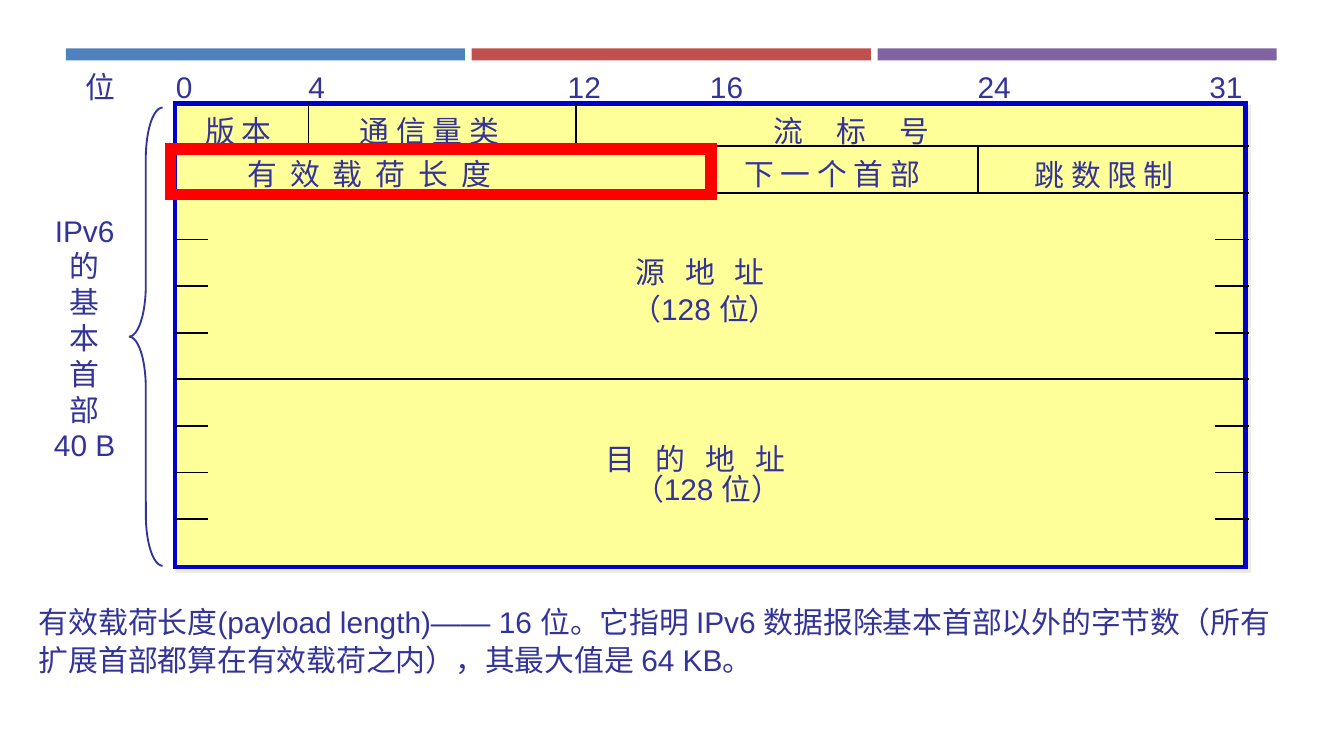
from lxml import etree
from pptx import Presentation
from pptx import util as u
from pptx.dml.color import RGBColor
from pptx.enum import shapes, text
from pptx.oxml.ns import qn

COLORS = {
    "text": "333399", "fill": "FFFF99", "border": "0000CC", "rule": "000000",
    "mark": "FF0000", "shadow": "EEECE1",
    "bars": ["4F81BD", "C0504D", "8064A2"],
}
LEFT, RIGHT = 1.3, 9.29
BIT, ROW = 0.249, 0.3467  # grid: 32 bit columns, 32-bit word rows


def col(bit):
    return LEFT + bit * BIT


def row(n):
    return 0.742 + n * ROW


def rgb(value):
    return RGBColor.from_string(value)


def add_box(s, x, y, w, h, fill=None, line=None, width=1,
            kind=shapes.MSO_SHAPE.RECTANGLE):
    sp = s.shapes.add_shape(kind, *map(u.Inches, (x, y, w, h)))
    sp.shadow.inherit = False
    if fill:
        sp.fill.solid()
        sp.fill.fore_color.rgb = rgb(fill)
    else:
        sp.fill.background()
    if line:
        sp.line.color.rgb = rgb(line)
        sp.line.width = u.Pt(width)
        # Square corners
        etree.SubElement(sp._element.spPr.find(qn("a:ln")), qn("a:miter"),
                         lim="800000")
    else:
        sp.line.fill.background()
    return sp


def add_drop_shadow(sp):
    effects = sp._element.spPr.find(qn("a:effectLst"))
    shadow = etree.SubElement(effects, qn("a:outerShdw"), dist="35560",
                              dir="2700000", algn="ctr", rotWithShape="0")
    etree.SubElement(shadow, qn("a:srgbClr"), val=COLORS["shadow"])


def add_rule(s, x1, y1, x2, y2):
    c = s.shapes.add_connector(shapes.MSO_CONNECTOR.STRAIGHT,
                               *map(u.Inches, (x1, y1, x2, y2)))
    c.line.color.rgb = rgb(COLORS["rule"])
    c.line.width = u.Pt(1)
    etree.SubElement(c._element.spPr, qn("a:effectLst"))


def add_text(s, x, y, w, lines, h=0.37, wrap=False, align=None, leading=None,
             tracking=0):
    tf = s.shapes.add_textbox(*map(u.Inches, (x, y, w, h))).text_frame
    tf.word_wrap = wrap
    tf.auto_size = text.MSO_AUTO_SIZE.SHAPE_TO_FIT_TEXT
    tf.text = lines
    for p in tf.paragraphs:
        p.alignment = align
        p.line_spacing = leading
        p.font.size = u.Pt(16)
        p.font.name = "Arial"
        p.font.color.rgb = rgb(COLORS["text"])
        if tracking:
            for r in p.runs:
                r._r.get_or_add_rPr().set("spc", str(round(tracking * 100)))


def add_header_grid(s):
    frame = add_box(s, LEFT, 0.77, 32 * BIT, 3.45, COLORS["fill"],
                    COLORS["border"], 2.25)
    add_drop_shadow(frame)
    for n in range(1, 10):
        add_rule(s, LEFT, row(n), RIGHT, row(n))
    # Field dividers in the first two words
    for bit, n in [(4, 0), (12, 0), (16, 1), (24, 1)]:
        add_rule(s, col(bit), max(row(n), 0.77), col(bit), row(n + 1))
    # Address areas leave only ticks of the word lines at both sides
    for n in (3, 7):
        add_box(s, col(1), row(n - 0.35), 7.49, 0.93, COLORS["fill"])


def add_labels(s):
    # Bit numbers
    add_text(s, 0.54, 0.46, 0.42, "位")
    for number, bit, w in [("0", 0.04, 0.32), ("4", 4, 0.32),
                           ("12", 11.75, 0.45), ("16", 16, 0.45),
                           ("24", 24, 0.45), ("31", 30.92, 0.45)]:
        add_text(s, col(bit) - 0.1, 0.46, w, number)
    # Field names: text, column, row, width, tracking
    for name, bit, n, w, tracking in [
        ("版 本", 0.52, 0.14, 0.71, 0),
        ("通 信 量 类", 5.14, 0.14, 1.29, 0),
        ("流 标 号", 17.5, 0.14, 1.5, 7.1),
        ("有 效 载 荷 长 度", 1.77, 1.06, 2.18, 1.75),
        ("下 一 个 首 部", 16.63, 1.06, 1.57, 0),
        ("跳 数 限 制", 25.3, 1.09, 1.29, 0),
        ("源 地 址", 13.37, 3.17, 1.25, 3.6),
        ("目 的 地 址", 12.49, 7.18, 1.67, 3.6),
    ]:
        add_text(s, col(bit), row(n), w, name, tracking=tracking)
    for bit, n in [(13.25, 3.95), (13.33, 7.81)]:
        add_text(s, col(bit), row(n), 1.31, "（128 位）", wrap=True)


def main():
    prs = Presentation()
    # Widescreen, 16:9
    prs.slide_width = u.Inches(10)
    prs.slide_height = u.Inches(10 * 9 / 16)
    s = prs.slides.add_slide(prs.slide_layouts[6])

    # Coloured bars at the top
    for i, color in enumerate(COLORS["bars"]):
        add_box(s, 0.49 + i * 3.02, 0.36, 2.97, 0.09, color)

    add_header_grid(s)
    add_labels(s)

    # Brace with the header's size
    brace = add_box(s, 0.96, 0.8, 0.25, 3.41, line=COLORS["text"],
                    kind=shapes.MSO_SHAPE.LEFT_BRACE)
    brace.adjustments[0] = 1.517
    add_text(s, 0.3, 1.53, 0.66, "IPv6\n的\n基\n本\n首\n部\n40 B", h=2.25,
             align=text.PP_ALIGN.CENTER)

    # Highlighted field and its explanation
    add_box(s, 1.27, 1.11, 4.02, 0.34, line=COLORS["mark"], width=6)
    add_text(s, 0.19, 4.43, 9.45,
             "有效载荷长度(payload length)—— 16 位。它指明 IPv6 "
             "数据报除基本首部以外的字节数（所有扩展首部都算在有效载荷之内），"
             "其最大值是 64 KB。", h=0.67, wrap=True, leading=1.05)

    prs.save("out.pptx")


if __name__ == "__main__":
    main()
